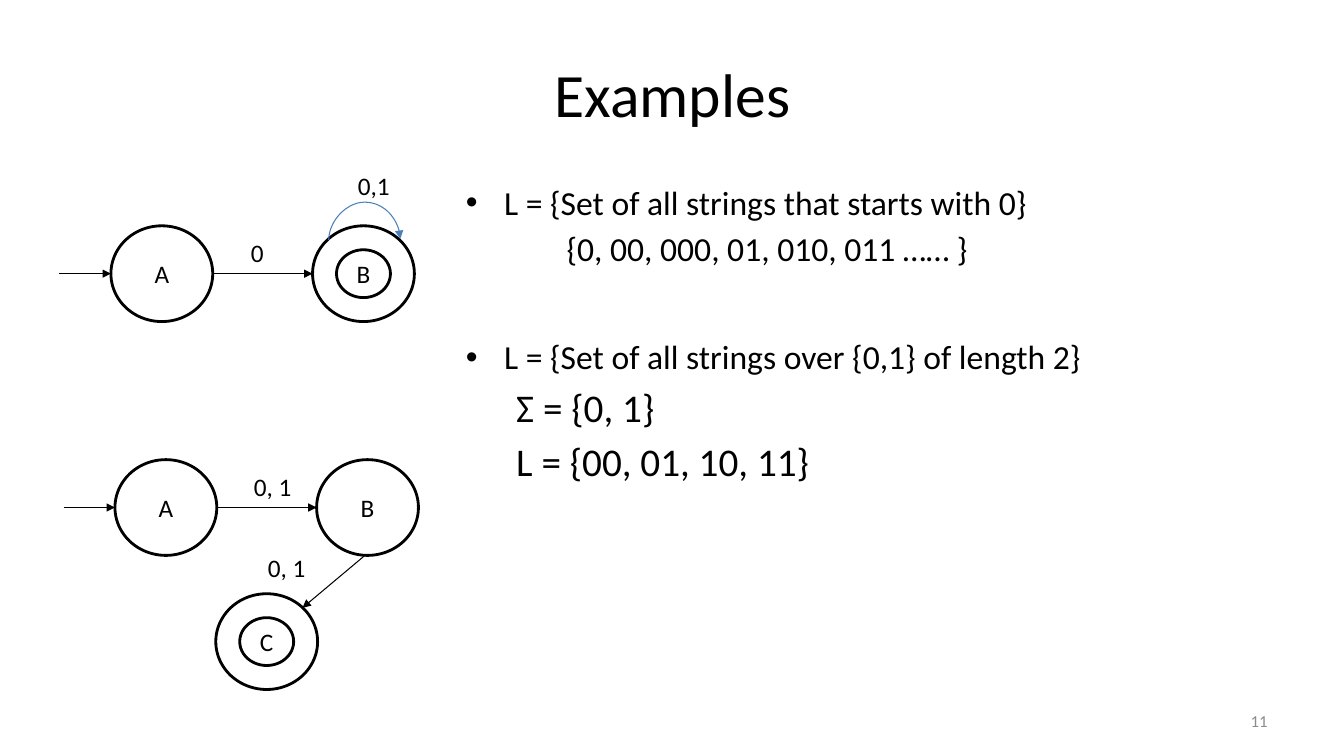
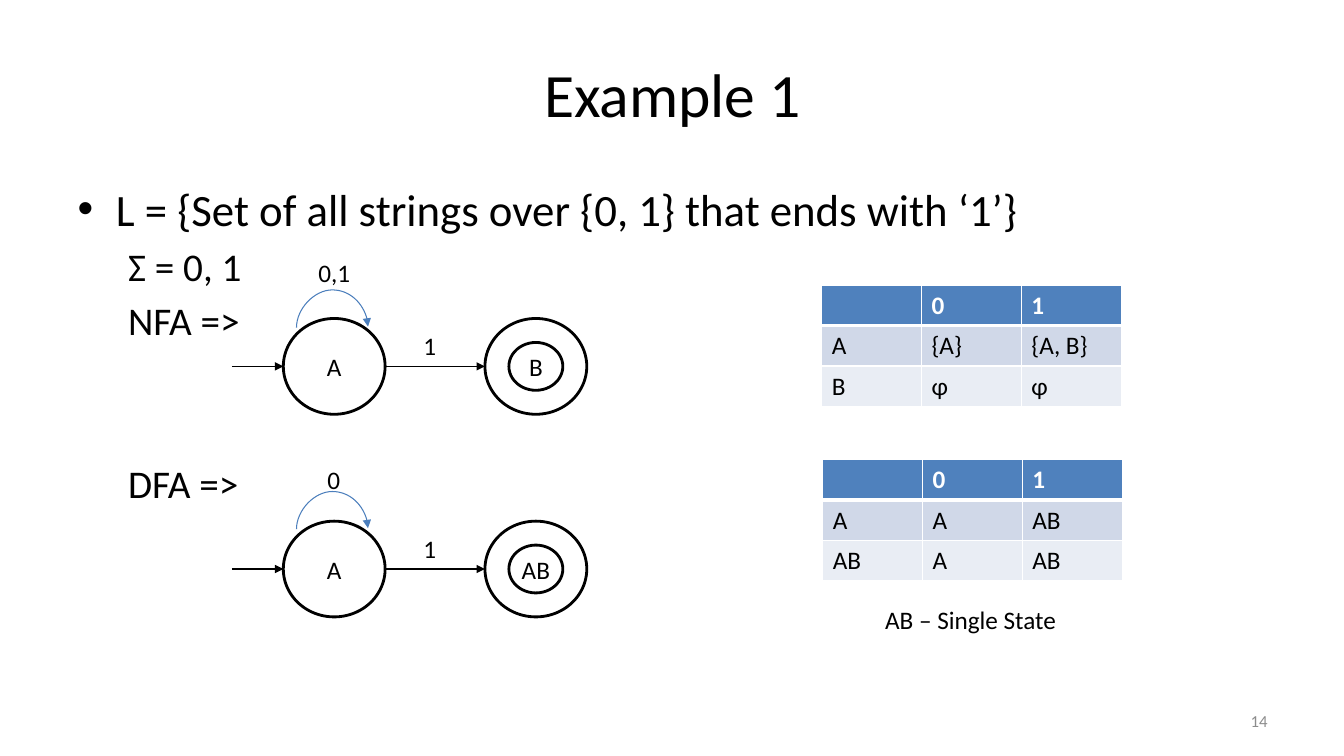
from dataclasses import dataclass

from lxml import etree
from pptx import Presentation
from pptx.dml.color import RGBColor
from pptx.enum.shapes import MSO_CONNECTOR, MSO_SHAPE
from pptx.enum.text import MSO_ANCHOR, MSO_AUTO_SIZE, PP_ALIGN
from pptx.oxml.ns import qn
from pptx.util import Inches, Pt

STRAIGHT, CURVE = MSO_CONNECTOR.STRAIGHT, MSO_CONNECTOR.CURVE
CIRCLE, RING = MSO_SHAPE.OVAL, MSO_SHAPE.DONUT
LEFT, CENTER, RIGHT = PP_ALIGN.LEFT, PP_ALIGN.CENTER, PP_ALIGN.RIGHT
MIDDLE, TOP = MSO_ANCHOR.MIDDLE, MSO_ANCHOR.TOP
NO_FIT = MSO_AUTO_SIZE.NONE


@dataclass(frozen=True)
class Theme:
    font: str = "Calibri"
    black: str = "000000"
    white: str = "FFFFFF"
    grey: str = "8C8C8C"
    loop: str = "4B7EBC"
    header: str = "4F81BD"
    bands: tuple = ("D0D8E8", "E9EDF4")
    title_size: int = 44
    label_size: int = 18
    number_size: int = 12
    state_line: float = 2
    arrow_line: float = 0.75


THEME = Theme()

# Shared layout, in inches
TITLE_BOX = (0.67, 0.3, 12, 1.25)
BODY_BOX = (0.67, 1.75, 12, 4.95)
NUMBER_BOX = (9.56, 6.95, 3.11, 0.4)
STATE_WIDTH, STATE_HEIGHT = 1.01, 0.95
STATE_STEP = 2.0
START_LENGTH = 0.51
LABEL_HEIGHT = 0.4
LOOP_SPAN, LOOP_RISE, LOOP_DROP = 0.71, 0.38, 0.01
CELL_WIDTH, CELL_HEIGHT = 0.99, 0.4

# Content. Body lines: text, size, space before, indent, bulleted
# Automata: origin of the first state, names of the two states, whether the
# second accepts, loop start (left, top). Labels: text, left, top, width.
SLIDES = [
    {
        "title": "Examples",
        "number": "11",
        "body_box": (4.52, 1.75, 8.15, 4.95),
        "body": [
            ("L = {Set of all strings that starts with 0}", 24, 4.5, 0.38, True),
            ("{0, 00, 000, 01, 010, 011 …… }", 24, 4.5, 1, False),
            ("L = {Set of all strings over {0,1} of length 2}", 24, 48.5, 0.38, True),
            ("Σ = {0, 1}", 28, 5, 0.5, False),
            ("L = {00, 01, 10, 11}", 28, 5, 0.5, False),
        ],
        "automata": [
            {"origin": (1.1, 2.24), "states": "A B", "accepts": True, "loop": (3.26, 2.38)},
            {"origin": (1.14, 4.56), "states": "A B", "accepts": False},
        ],
        "extra_states": [("C", 2.14, 5.89)],
        "extra_arrows": [(3.62, 5.51, 3, 6.03)],
        "labels": [
            ("0,1", 3.45, 1.64, 0.52),
            ("0", 2.39, 2.31, 0.33),
            ("0, 1", 2.42, 4.63, 0.57),
            ("0, 1", 2.56, 5.43, 0.57),
        ],
    },
    {
        "title": "Example 1",
        "number": "14",
        "body": [
            ("L = {Set of all strings over {0, 1} that ends with ‘1’}", 32, 6, 0.38, True),
            ("Σ = 0, 1", 28, 5, 0.5, False),
            ("NFA =>", 28, 5, 0.5, False),
            ("DFA =>", 28, 83, 0.5, False),
        ],
        "automata": [
            {"origin": (2.81, 3.16), "states": "A B", "accepts": True, "loop": (2.94, 3.25)},
            {"origin": (2.81, 5.17), "states": "A AB", "accepts": True, "loop": (2.94, 5.25)},
        ],
        "labels": [
            ("0,1", 3.06, 2.5, 0.52),
            ("1", 4.1, 3.23, 0.33),
            ("0", 3.15, 4.56, 0.3),
            ("1", 4.1, 5.24, 0.33),
            ("AB – Single State", 8.68, 5.95, 1.92),
        ],
        "tables": [
            (8.15, 2.83, [("", "0", "1"), ("A", "{A}", "{A, B}"), ("B", "φ", "φ")]),
            (8.16, 4.56, [("", "0", "1"), ("A", "A", "AB"), ("AB", "A", "AB")]),
        ],
    },
]


def color(value):
    return RGBColor.from_string(value)


def place(shape, box):
    shape.left, shape.top, shape.width, shape.height = map(Inches, box)


def add_run(paragraph, text, size, ink=THEME.black, bold=False):
    run = paragraph.add_run()
    run.text = text
    run.font.name, run.font.size, run.font.bold = THEME.font, Pt(size), bold
    run.font.color.rgb = color(ink)


def add_label(slide, text, box, size=THEME.label_size, ink=THEME.black,
              align=LEFT, anchor=TOP):
    frame = slide.shapes.add_textbox(*map(Inches, box)).text_frame
    frame.word_wrap = True
    frame.vertical_anchor = anchor
    frame.paragraphs[0].alignment = align
    add_run(frame.paragraphs[0], text, size, ink)


# Title and list
def fill_body(body, lines):
    frame = body.text_frame
    frame.auto_size = NO_FIT
    for index, (text, size, space, indent, bulleted) in enumerate(lines):
        paragraph = frame.add_paragraph() if index else frame.paragraphs[0]
        paragraph.space_before = Pt(space)
        properties = paragraph._p.get_or_add_pPr()
        properties.set("marL", str(Inches(indent)))
        properties.set("indent", str(Inches(-indent if bulleted else 0)))
        if bulleted:
            etree.SubElement(properties, qn("a:buChar")).set("char", "•")
        else:
            etree.SubElement(properties, qn("a:buNone"))
        add_run(paragraph, text, size)


# State diagrams
def add_state(slide, name, left, top, accepting=False):
    shape = slide.shapes.add_shape(
        RING if accepting else CIRCLE,
        *map(Inches, (left, top, STATE_WIDTH, STATE_HEIGHT)))
    shape.shadow.inherit = False
    shape.fill.solid()
    shape.fill.fore_color.rgb = color(THEME.white)
    shape.line.color.rgb = color(THEME.black)
    shape.line.width = Pt(THEME.state_line)
    frame = shape.text_frame
    frame.margin_left = frame.margin_right = 0
    frame.vertical_anchor = MIDDLE
    frame.paragraphs[0].alignment = CENTER
    add_run(frame.paragraphs[0], name, THEME.label_size)


def add_arrow(slide, *ends, kind=STRAIGHT, ink=THEME.black):
    arrow = slide.shapes.add_connector(kind, *map(Inches, ends))
    arrow.line.color.rgb = color(ink)
    arrow.line.width = Pt(THEME.arrow_line)
    etree.SubElement(arrow.line._get_or_add_ln(), qn("a:tailEnd")).set("type", "triangle")
    etree.SubElement(arrow._element.spPr, qn("a:effectLst"))
    return arrow


def add_loop(slide, left, top):
    # A curved connector stands on its side, so its box is turned by 90 degrees
    center_x, center_y = left + LOOP_SPAN / 2, top - LOOP_DROP / 2
    box_left, box_top = center_x - LOOP_DROP / 2, center_y - LOOP_SPAN / 2
    arrow = add_arrow(slide, box_left, box_top, box_left + LOOP_DROP,
                      box_top + LOOP_SPAN, kind=CURVE, ink=THEME.loop)
    properties = arrow._element.spPr
    for name, value in (("rot", "5400000"), ("flipH", "1"), ("flipV", "1")):
        properties.find(qn("a:xfrm")).set(name, value)
    guide = etree.SubElement(properties.find(".//" + qn("a:avLst")), qn("a:gd"))
    guide.set("name", "adj1")
    guide.set("fmla", f"val {round(LOOP_RISE / LOOP_DROP * 100000)}")


def add_automaton(slide, automaton):
    left, top = automaton["origin"]
    first, second = automaton["states"].split()
    middle = top + STATE_HEIGHT / 2
    add_state(slide, first, left, top)
    add_state(slide, second, left + STATE_STEP, top, automaton["accepts"])
    add_arrow(slide, left - START_LENGTH, middle, left, middle)
    add_arrow(slide, left + STATE_WIDTH, middle, left + STATE_STEP, middle)
    if "loop" in automaton:
        add_loop(slide, *automaton["loop"])


# Transition tables
def set_borders(cell, top, bottom):
    properties = cell._tc.get_or_add_tcPr()
    for side, width in (("L", 1), ("R", 1), ("T", top), ("B", bottom)):
        line = etree.SubElement(properties, qn(f"a:ln{side}"))
        line.set("w", str(Pt(width)))
        fill = etree.SubElement(line, qn("a:solidFill"))
        etree.SubElement(fill, qn("a:srgbClr")).set("val", THEME.white)


def add_transitions(slide, left, top, rows):
    columns = len(rows[0])
    box = (left, top, CELL_WIDTH * columns, CELL_HEIGHT * len(rows))
    table = slide.shapes.add_table(len(rows), columns, *map(Inches, box)).table
    for row_index, row in enumerate(rows):
        is_header = row_index == 0
        fill = THEME.header if is_header else THEME.bands[(row_index - 1) % 2]
        for column_index, text in enumerate(row):
            cell = table.cell(row_index, column_index)
            set_borders(cell, 3 if row_index == 1 else 1, 3 if is_header else 1)
            cell.fill.solid()
            cell.fill.fore_color.rgb = color(fill)
            if text:
                add_run(cell.text_frame.paragraphs[0], text, THEME.label_size,
                        THEME.white if is_header else THEME.black, is_header)


def add_slide(presentation, layout, content):
    slide = presentation.slides.add_slide(layout)
    title, body = slide.placeholders
    add_run(title.text_frame.paragraphs[0], content["title"], THEME.title_size)
    if "body_box" in content:
        place(body, content["body_box"])
    fill_body(body, content["body"])
    add_label(slide, content["number"], NUMBER_BOX, THEME.number_size,
              THEME.grey, RIGHT, MIDDLE)
    for automaton in content["automata"]:
        add_automaton(slide, automaton)
    for name, left, top in content.get("extra_states", []):
        add_state(slide, name, left, top, accepting=True)
    for ends in content.get("extra_arrows", []):
        add_arrow(slide, *ends)
    for text, left, top, width in content["labels"]:
        add_label(slide, text, (left, top, width, LABEL_HEIGHT))
    for table in content.get("tables", []):
        add_transitions(slide, *table)


def main():
    presentation = Presentation()
    presentation.slide_width, presentation.slide_height = Inches(13.33), Inches(7.5)
    layout = presentation.slide_layouts[1]
    title, body = list(layout.placeholders)[:2]
    place(title, TITLE_BOX)
    place(body, BODY_BOX)
    title.text_frame.vertical_anchor = MIDDLE
    for content in SLIDES:
        add_slide(presentation, layout, content)
    presentation.save("out.pptx")


if __name__ == "__main__":
    main()
